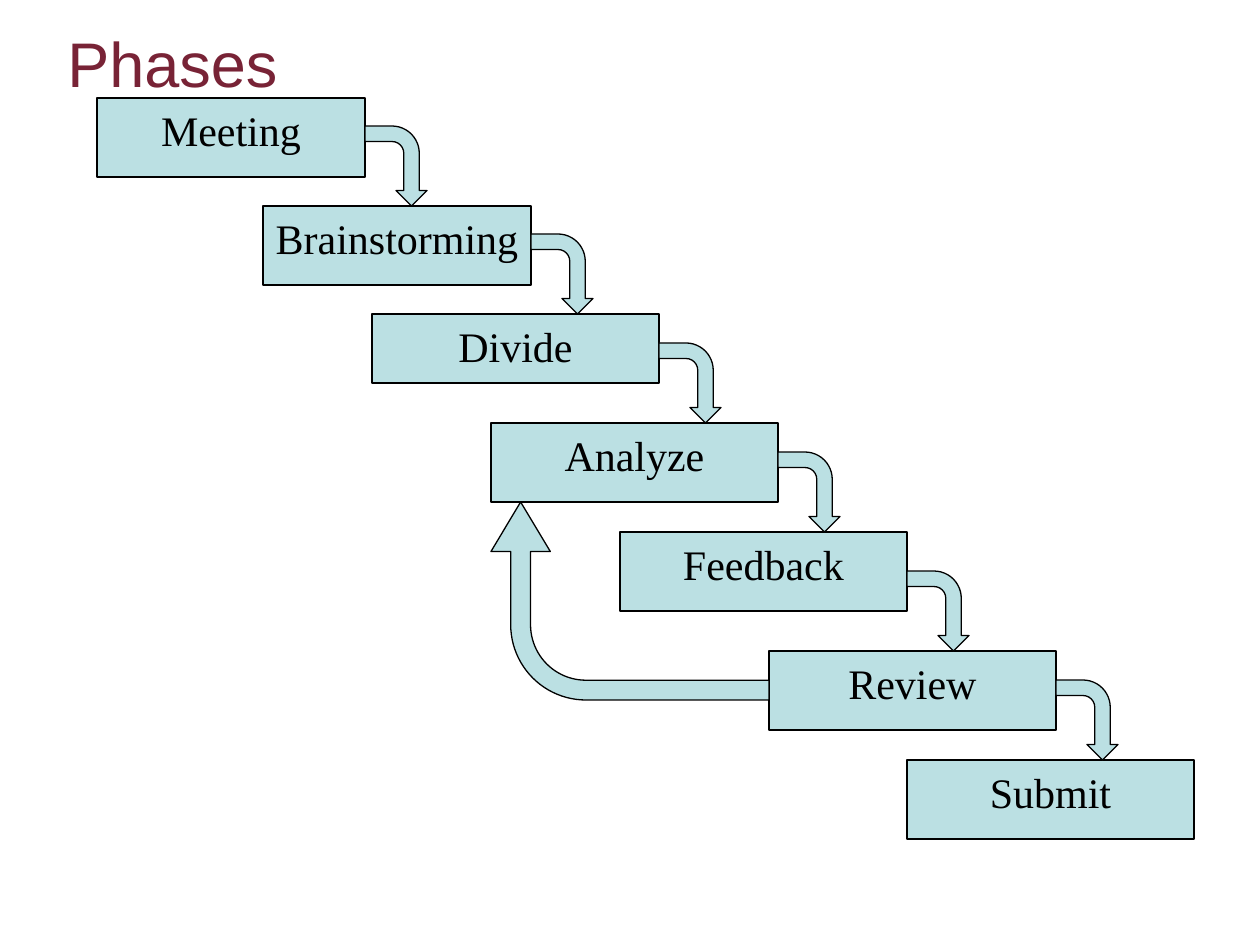
from itertools import pairwise

from pptx import Presentation
from pptx.dml.color import RGBColor
from pptx.enum.shapes import MSO_SHAPE
from pptx.enum.text import MSO_ANCHOR, PP_ALIGN
from pptx.util import Pt

RECTANGLE = MSO_SHAPE.RECTANGLE
BENT_ARROW = MSO_SHAPE.BENT_ARROW
TOP, MIDDLE = MSO_ANCHOR.TOP, MSO_ANCHOR.MIDDLE
LEFT, CENTER = PP_ALIGN.LEFT, PP_ALIGN.CENTER

PX_PER_INCH = 126
EMU_PER_PX = 914400 / PX_PER_INCH
COLORS = {"title": "782336", "fill": "BBE0E3", "ink": "000000"}

PHASES = [
    ("Meeting", (97, 98, 268, 79)),
    ("Brainstorming", (263, 206, 268, 79)),
    ("Divide", (372, 314, 287, 69)),
    ("Analyze", (491, 423, 287, 79)),
    ("Feedback", (620, 532, 287, 79)),
    ("Review", (769, 651, 287, 79)),
    ("Submit", (907, 760, 287, 79)),
]
STEP_WIDTH, STEP_HEIGHT = 62, 80
STEP_BEND = (0.25, 0.25, 0.25, 0.44)
RETURN_BEND = (0.1, 0.15, 0.25, 0.38)
RETURN_RISE = 30


def emu(*lengths):
    return [round(length * EMU_PER_PX) for length in lengths]


def color(name):
    return RGBColor.from_string(COLORS[name])


def write_text(shape, text, font, size, ink, align, anchor):
    frame = shape.text_frame
    frame.word_wrap = False
    frame.vertical_anchor = anchor
    para = frame.paragraphs[0]
    para.alignment = align
    span = para.add_run()
    span.text = text
    span.font.name = font
    span.font.size = Pt(size)
    span.font.color.rgb = color(ink)


def add_filled(page, kind, box):
    shape = page.shapes.add_shape(kind, *emu(*box))
    shape.shadow.inherit = False
    shape.fill.solid()
    shape.fill.fore_color.rgb = color("fill")
    shape.line.color.rgb = color("ink")
    shape.line.width = Pt(0.75)
    return shape


def add_title(page, box, text):
    title = page.shapes.add_textbox(*emu(*box))
    write_text(title, text, "Arial", 36, "title", LEFT, MIDDLE)


def add_phase(page, box, text):
    phase = add_filled(page, RECTANGLE, box)
    write_text(phase, text, "Times New Roman", 24, "ink", CENTER, TOP)


def add_bent_arrow(page, box, rotation, bend):
    left, top, width, height = box
    shift = (width - height) / 2
    arrow = add_filled(page, BENT_ARROW, (left + shift, top - shift, height, width))
    arrow.rotation = rotation
    for index, value in enumerate(bend):
        arrow.adjustments[index] = value


def add_step_arrow(page, start, end):
    box = (start[0] + start[2], end[1] - STEP_HEIGHT, STEP_WIDTH, STEP_HEIGHT)
    add_bent_arrow(page, box, 90, STEP_BEND)


def add_return_arrow(page, start, end):
    top = end[1] + end[3]
    bottom = start[1] + start[3] - RETURN_RISE
    box = (end[0], top, start[0] - end[0], bottom - top)
    add_bent_arrow(page, box, 270, RETURN_BEND)


def add_waterfall(page):
    boxes = dict(PHASES)
    for name, box in PHASES:
        add_phase(page, box, name)
    for start, end in pairwise(boxes.values()):
        add_step_arrow(page, start, end)
    add_return_arrow(page, boxes["Review"], boxes["Analyze"])


def main():
    deck = Presentation()
    deck.slide_width, deck.slide_height = emu(1260, 945)
    page = deck.slides.add_slide(deck.slide_layouts[6])
    add_title(page, (55, 11, 1071, 102), "Phases")
    add_waterfall(page)
    deck.save("out.pptx")


if __name__ == "__main__":
    main()
